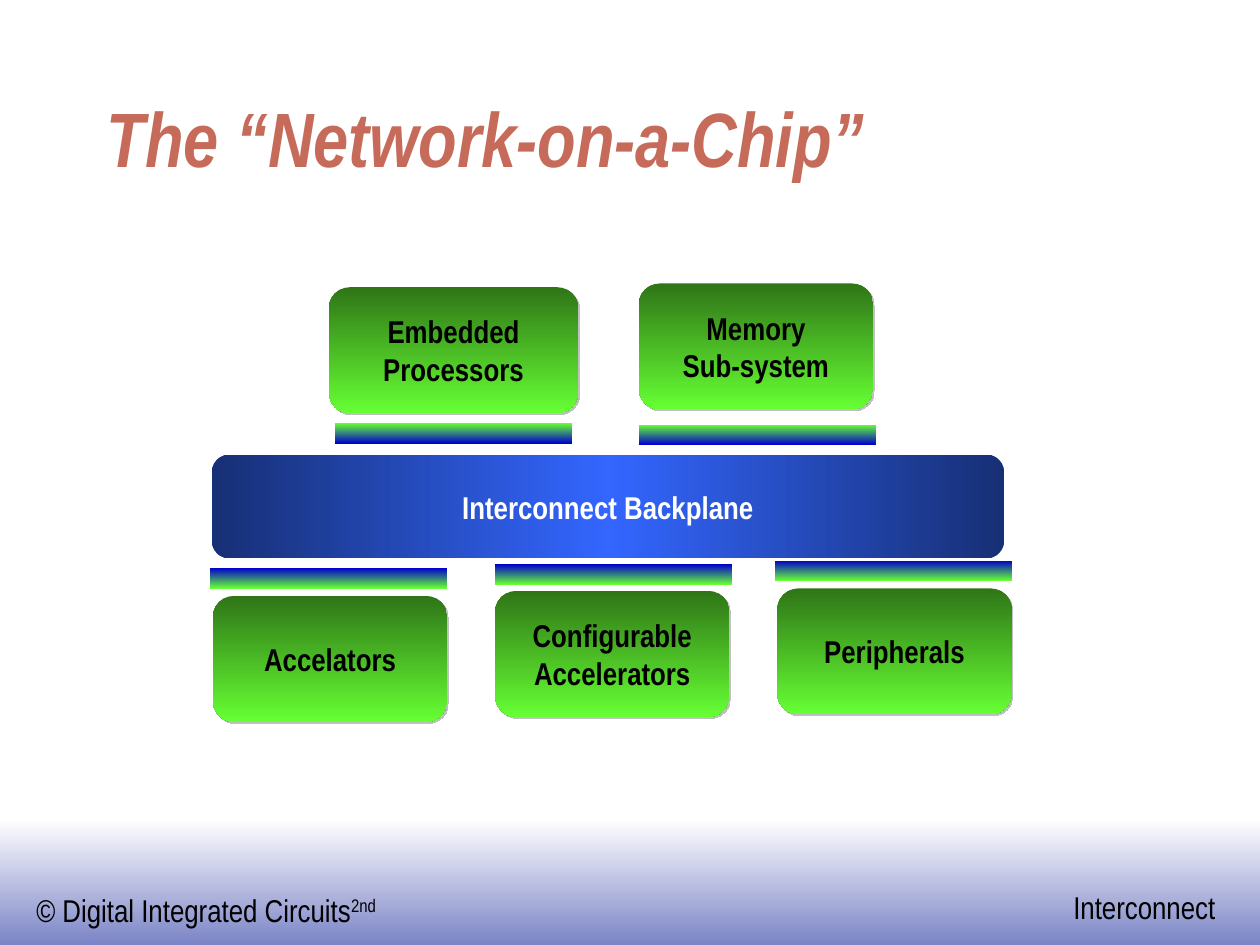
from lxml.etree import SubElement
from pptx import Presentation
from pptx.dml.color import RGBColor
from pptx.enum.shapes import MSO_SHAPE as Shape
from pptx.enum.text import MSO_ANCHOR as Anchor, PP_ALIGN as Align
from pptx.oxml.ns import qn
from pptx.util import Inches, Pt

FONT = "Arial Narrow"
DARK, LIME, BLUE = "2F7517", "66FF33", "0000CC"
NAVY, SKY = "172F75", "3366FF"

# Blocks: text, left, top, width
BLOCKS = [
    ("Embedded\nProcessors", 2.61, 2.28, 1.98),
    ("Memory\nSub-system", 5.07, 2.25, 1.86),
    ("Accelators", 1.69, 4.73, 1.86),
    ("Configurable\nAccelerators", 3.93, 4.69, 1.86),
    ("Peripherals", 6.17, 4.67, 1.86),
]
# Network ports: left, top
PORTS = [(2.66, 3.36), (5.07, 3.37), (1.67, 4.51), (3.93, 4.48), (6.15, 4.45)]
PLANE = (1.68, 3.61, 6.29, 0.82)

prs = Presentation()
prs.slide_width, prs.slide_height = Inches(10), Inches(7.5)
slide = prs.slides.add_slide(prs.slide_layouts[6])


def color(code):
    return RGBColor.from_string(code)


def write(text, frame, size=18, ink="000000", bold=False, italic=False,
          align=Align.LEFT, anchor=Anchor.TOP, wrap=False, sup=""):
    frame.word_wrap, frame.vertical_anchor = wrap, anchor
    for i, line in enumerate(text.split("\n")):
        para = frame.add_paragraph() if i else frame.paragraphs[0]
        para.alignment = align
        for part in filter(None, (line, sup)):
            run = para.add_run()
            run.text = part
            font = run.font
            font.name, font.size = FONT, Pt(size)
            font.bold, font.italic = bold, italic
            font.color.rgb = color(ink)
            if part == sup:
                run._r.get_or_add_rPr().set("baseline", "30000")


def label(text, box, **style):
    frame = slide.shapes.add_textbox(*map(Inches, box)).text_frame
    write(text, frame, wrap=True, **style)


def panel(kind, box, hues, angle=270):
    """Add a shape with evenly spaced gradient stops."""
    shape = slide.shapes.add_shape(kind, *map(Inches, box))
    shape.shadow.inherit = False
    shape.line.fill.background()
    shape.fill.gradient()
    shape.fill.gradient_angle = angle
    stops = shape._element.spPr.find(".//" + qn("a:gsLst"))
    for old in list(stops):
        stops.remove(old)
    for i, hue in enumerate(hues):
        stop = SubElement(stops, qn("a:gs"), pos=str(100000 * i // (len(hues) - 1)))
        SubElement(stop, qn("a:srgbClr"), val=hue)
    return shape


def shade(shape):
    effects = shape._element.spPr.find(qn("a:effectLst"))
    cast = SubElement(effects, qn("a:outerShdw"), dist=str(Pt(1.4)),
                      dir="2700000", algn="ctr", rotWithShape="0")
    SubElement(cast, qn("a:srgbClr"), val="C0C0C0")


# Footer band and title; the footer boxes leave room for one line
panel(Shape.RECTANGLE, (0, 6.5, 10, 1), ("FFFFFF", "7B84C6"))
label("© Digital Integrated Circuits", (0.19, 7.02, 3.1, 0.4), sup="2nd")
label("Interconnect", (8.42, 7, 1.4, 0.4))
label("The “Network-on-a-Chip”", (0.75, 0.25, 8.5, 1.25), size=44, ink="C66B5A",
      bold=True, italic=True, anchor=Anchor.BOTTOM)

# Blocks
mid = dict(bold=True, align=Align.CENTER, anchor=Anchor.MIDDLE)
for text, left, top, width in BLOCKS:
    block = panel(Shape.ROUNDED_RECTANGLE, (left, top, width, 1), (DARK, LIME))
    shade(block)
    write(text, block.text_frame, **mid)

# Backplane
plane = panel(Shape.ROUNDED_RECTANGLE, PLANE, (NAVY, SKY, NAVY), angle=180)
write("Interconnect Backplane", plane.text_frame, ink="FFFFFF", **mid)

# Ports: the blue side faces the backplane
for left, top in PORTS:
    hues = (LIME, BLUE) if top < PLANE[1] else (BLUE, LIME)
    panel(Shape.RECTANGLE, (left, top, 1.88, 0.16), hues)

prs.save("out.pptx")
